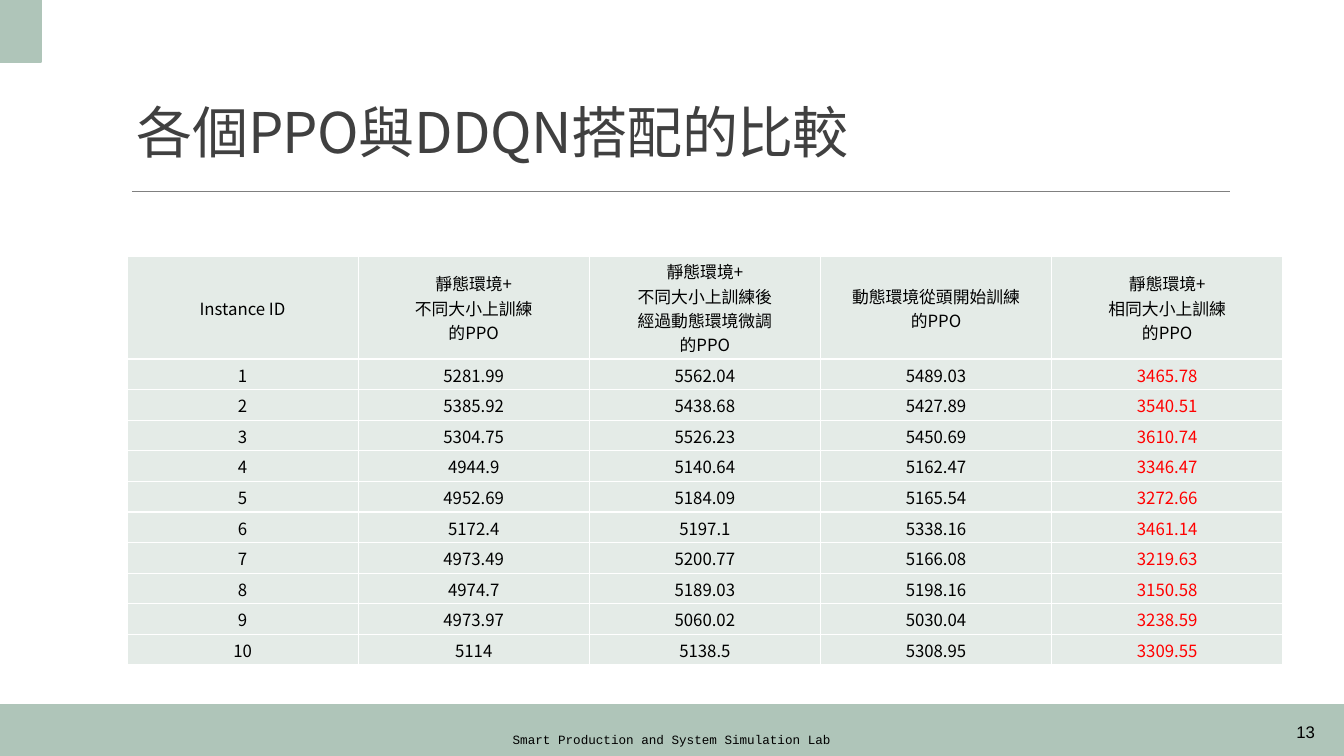
from dataclasses import dataclass

from lxml import etree
from pptx import Presentation
from pptx import util as u
from pptx.dml.color import RGBColor
from pptx.enum import shapes, text
from pptx.oxml.ns import qn

SANS = "Noto Sans CJK SC"
SAGE, PALE, WHITE = "AFC5B9", "E4EBE7", "FFFFFF"
BLACK, CHARCOAL, GREY, RED = "000000", "404040", "808080", "FF0000"


@dataclass(frozen=True)
class Area:
    left: int
    top: int
    width: int
    height: int


@dataclass(frozen=True)
class Style:
    size: int
    font: str = SANS
    color: str = BLACK
    align: text.PP_ALIGN = text.PP_ALIGN.CENTER


@dataclass(frozen=True)
class Label:
    area: Area
    words: str
    style: Style
    anchor: text.MSO_ANCHOR = text.MSO_ANCHOR.MIDDLE


BANDS = [Area(0, 705, 1344, 51), Area(0, 0, 41, 62)]
TITLE = Label(Area(127, 110, 1054, 60), "各個PPO與DDQN搭配的比較",
              Style(40, color=CHARCOAL, align=text.PP_ALIGN.LEFT),
              text.MSO_ANCHOR.BOTTOM)
FOOTER = Label(Area(406, 725, 531, 28), "Smart Production and System Simulation Lab",
               Style(9, "Courier New"))
PAGE_NUMBER = Label(Area(1181, 712, 144, 40), "13",
                    Style(12, "Arial", align=text.PP_ALIGN.RIGHT))

TABLE = Area(127, 256, 1156, 409)
HEADER_HEIGHT = 103
HEADINGS = [
    "Instance ID",
    "靜態環境+\n不同大小上訓練\n的PPO",
    "靜態環境+\n不同大小上訓練後\n經過動態環境微調\n的PPO",
    "動態環境從頭開始訓練\n的PPO",
    "靜態環境+\n相同大小上訓練\n的PPO",
]
RESULTS = [
    (5281.99, 5562.04, 5489.03, 3465.78),
    (5385.92, 5438.68, 5427.89, 3540.51),
    (5304.75, 5526.23, 5450.69, 3610.74),
    (4944.9, 5140.64, 5162.47, 3346.47),
    (4952.69, 5184.09, 5165.54, 3272.66),
    (5172.4, 5197.1, 5338.16, 3461.14),
    (4973.49, 5200.77, 5166.08, 3219.63),
    (4974.7, 5189.03, 5198.16, 3150.58),
    (4973.97, 5060.02, 5030.04, 3238.59),
    (5114, 5138.5, 5308.95, 3309.55),
]


def px(length: int) -> u.Emu:
    return u.Emu(round(length * 914400 / 100.8))


def place(area: Area) -> list[u.Emu]:
    return [px(n) for n in (area.left, area.top, area.width, area.height)]


def rgb(value: str) -> RGBColor:
    return RGBColor.from_string(value)


def write(frame, words: str, style: Style) -> None:
    frame.text = words
    for para in frame.paragraphs:
        para.alignment = style.align
        for span in para.runs:
            span.font.size = u.Pt(style.size)
            span.font.name = style.font
            span.font.color.rgb = rgb(style.color)
            # East Asian glyphs take their own typeface
            etree.SubElement(span.font._element, qn("a:ea"), typeface=style.font)


def add_band(page, area: Area) -> None:
    band = page.shapes.add_shape(shapes.MSO_SHAPE.RECTANGLE, *place(area))
    band.shadow.inherit = False
    band.fill.solid()
    band.fill.fore_color.rgb = rgb(SAGE)
    band.line.color.rgb = rgb(SAGE)
    band.line.width = u.Pt(1.25)


def add_rule(page, left: int, right: int, top: int) -> None:
    rule = page.shapes.add_connector(
        shapes.MSO_CONNECTOR.STRAIGHT, px(left), px(top), px(right), px(top))
    rule.line.color.rgb = rgb(GREY)
    rule.line.width = u.Pt(0.5)
    etree.SubElement(rule._element.spPr, qn("a:effectLst"))


def add_label(page, label: Label):
    box = page.shapes.add_textbox(*place(label.area))
    box.text_frame.word_wrap = True
    box.text_frame.vertical_anchor = label.anchor
    write(box.text_frame, label.words, label.style)
    return box


def add_borders(cell) -> None:
    properties = cell._tc.get_or_add_tcPr()
    for index, side in enumerate(("lnL", "lnR", "lnT", "lnB")):
        border = etree.Element(qn(f"a:{side}"), w=str(u.Pt(1)))
        fill = etree.SubElement(border, qn("a:solidFill"))
        etree.SubElement(fill, qn("a:srgbClr"), val=WHITE)
        properties.insert(index, border)


def fill_cell(cell, words: str, color: str) -> None:
    cell.margin_left = cell.margin_right = cell.margin_top = px(1)
    cell.margin_bottom = 0
    cell.vertical_anchor = text.MSO_ANCHOR.MIDDLE
    cell.fill.solid()
    cell.fill.fore_color.rgb = rgb(PALE)
    write(cell.text_frame, words, Style(12, color=color))
    add_borders(cell)


def add_results(page) -> None:
    rows = [HEADINGS] + [
        [str(number), *map(str, values)] for number, values in enumerate(RESULTS, 1)]
    table = page.shapes.add_table(len(rows), len(HEADINGS), *place(TABLE)).table
    table.first_row = table.horz_banding = False
    for column in table.columns:
        column.width = px(TABLE.width) // len(HEADINGS)
    for row in table.rows:
        row.height = px(TABLE.height - HEADER_HEIGHT) // len(RESULTS)
    table.rows[0].height = px(HEADER_HEIGHT)
    for r, row in enumerate(rows):
        for c, words in enumerate(row):
            best = r > 0 and c == len(HEADINGS) - 1
            fill_cell(table.cell(r, c), words, RED if best else BLACK)


def main() -> None:
    deck = Presentation()
    deck.slide_width, deck.slide_height = px(1344), px(756)
    page = deck.slides.add_slide(deck.slide_layouts[6])

    # Frame of the page
    for area in BANDS:
        add_band(page, area)
    add_rule(page, 132, 1230, 191)

    # Title, slightly tightened
    title = add_label(page, TITLE).text_frame.paragraphs[0]
    title.line_spacing = 0.85
    title.runs[0].font._element.set("spc", "-50")

    # Footer
    add_label(page, FOOTER)
    add_label(page, PAGE_NUMBER)

    # Comparison table
    add_results(page)
    deck.save("out.pptx")


if __name__ == "__main__":
    main()
